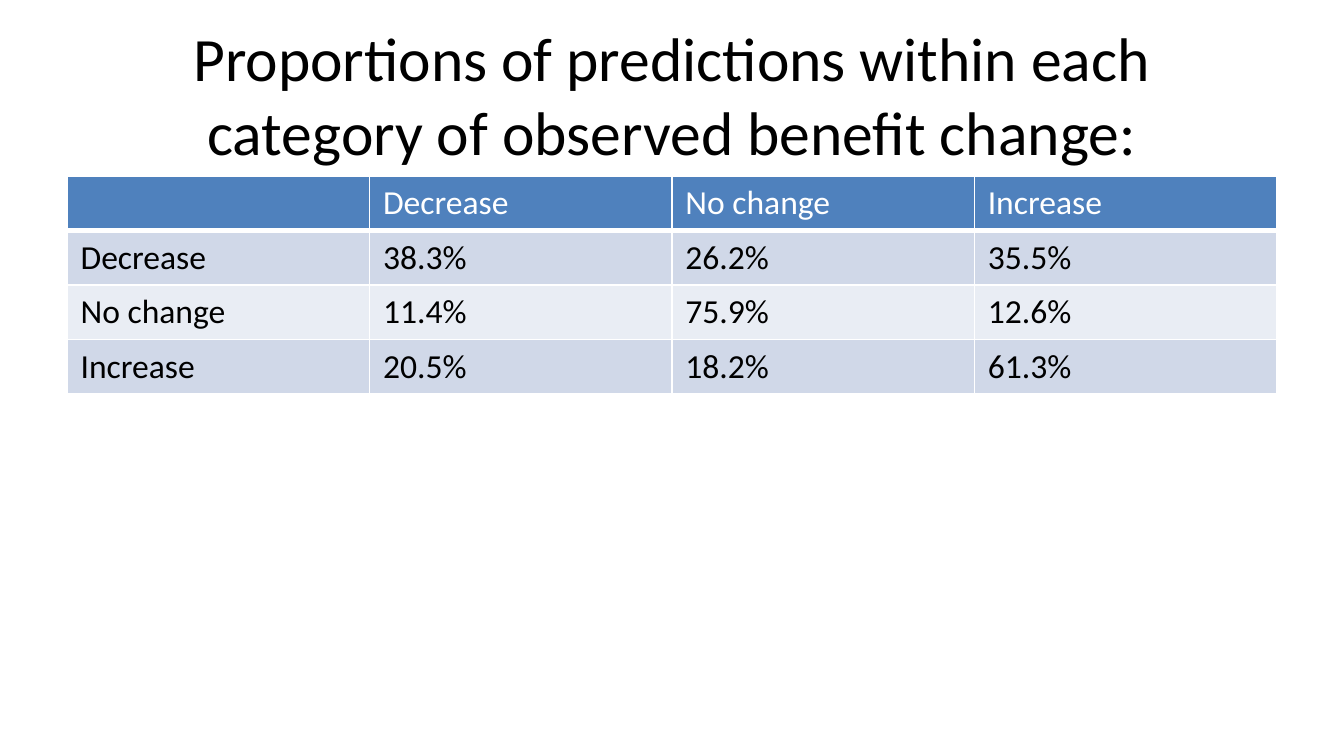
from lxml import etree
from pptx import Presentation
from pptx.dml.color import RGBColor
from pptx.enum.text import MSO_ANCHOR, PP_ALIGN
from pptx.oxml.ns import qn
from pptx.util import Cm, Pt

MIDDLE = MSO_ANCHOR.MIDDLE
CENTER = PP_ALIGN.CENTER
FONT = "Calibri"
BLACK, WHITE = "000000", "FFFFFF"
HEADER_FILL = "4F81BD"
BAND_FILLS = ("E9EDF4", "D0D8E8")
LEFT, WIDTH = 1.27, 22.86
ROW_HEIGHT = 1.03

TITLE = ("Proportions of predictions within each category "
         "of observed benefit change:")
PROPORTIONS = [
    ["", "Decrease", "No change", "Increase"],
    ["Decrease", "38.3%", "26.2%", "35.5%"],
    ["No change", "11.4%", "75.9%", "12.6%"],
    ["Increase", "20.5%", "18.2%", "61.3%"],
]


def rgb(value):
    """Turn a hex string into a colour."""
    return RGBColor.from_string(value)


def format_text(tf, size, color):
    """Set the font of every run in a text frame."""
    for p in tf.paragraphs:
        for r in p.runs:
            r.font.name = FONT
            r.font.size = Pt(size)
            r.font.bold = False
            r.font.color.rgb = rgb(color)


def add_title(slide, text):
    """Add the centred title."""
    sp = slide.shapes.add_textbox(Cm(LEFT), Cm(0.58), Cm(WIDTH), Cm(2.39))
    tf = sp.text_frame
    tf.word_wrap = True
    tf.vertical_anchor = MIDDLE
    tf.text = text
    tf.paragraphs[0].alignment = CENTER
    format_text(tf, 33, BLACK)


def set_borders(cell, color, bottom):
    """Draw the cell's borders, 1 pt wide except for the bottom one."""
    tcPr = cell._tc.get_or_add_tcPr()
    for side, width in (("L", 1), ("R", 1), ("T", 1), ("B", bottom)):
        ln = etree.SubElement(tcPr, qn(f"a:ln{side}"), w=str(Pt(width)))
        fill = etree.SubElement(ln, qn("a:solidFill"))
        etree.SubElement(fill, qn("a:srgbClr"), val=color)


def style_cell(cell, row):
    """Format a cell as header or as part of a banded row."""
    header = row == 0
    set_borders(cell, WHITE, 3 if header else 1)
    cell.fill.solid()
    cell.fill.fore_color.rgb = rgb(HEADER_FILL if header else BAND_FILLS[row % 2])
    format_text(cell.text_frame, 18, WHITE if header else BLACK)


def add_table(slide, rows):
    """Add the table with equal columns and rows."""
    table = slide.shapes.add_table(
        len(rows), len(rows[0]), Cm(LEFT), Cm(3.33),
        Cm(WIDTH), Cm(ROW_HEIGHT * len(rows))).table
    for i, values in enumerate(rows):
        for j, value in enumerate(values):
            cell = table.cell(i, j)
            cell.text = value
            style_cell(cell, i)


def main():
    """Build the slide and save it."""
    prs = Presentation()
    prs.slide_width, prs.slide_height = Cm(25.4), Cm(14.29)
    slide = prs.slides.add_slide(prs.slide_layouts[6])
    add_title(slide, TITLE)
    # Body rows start with the lighter band's partner, so odd rows are darker.
    add_table(slide, PROPORTIONS)
    prs.save("out.pptx")


main()
